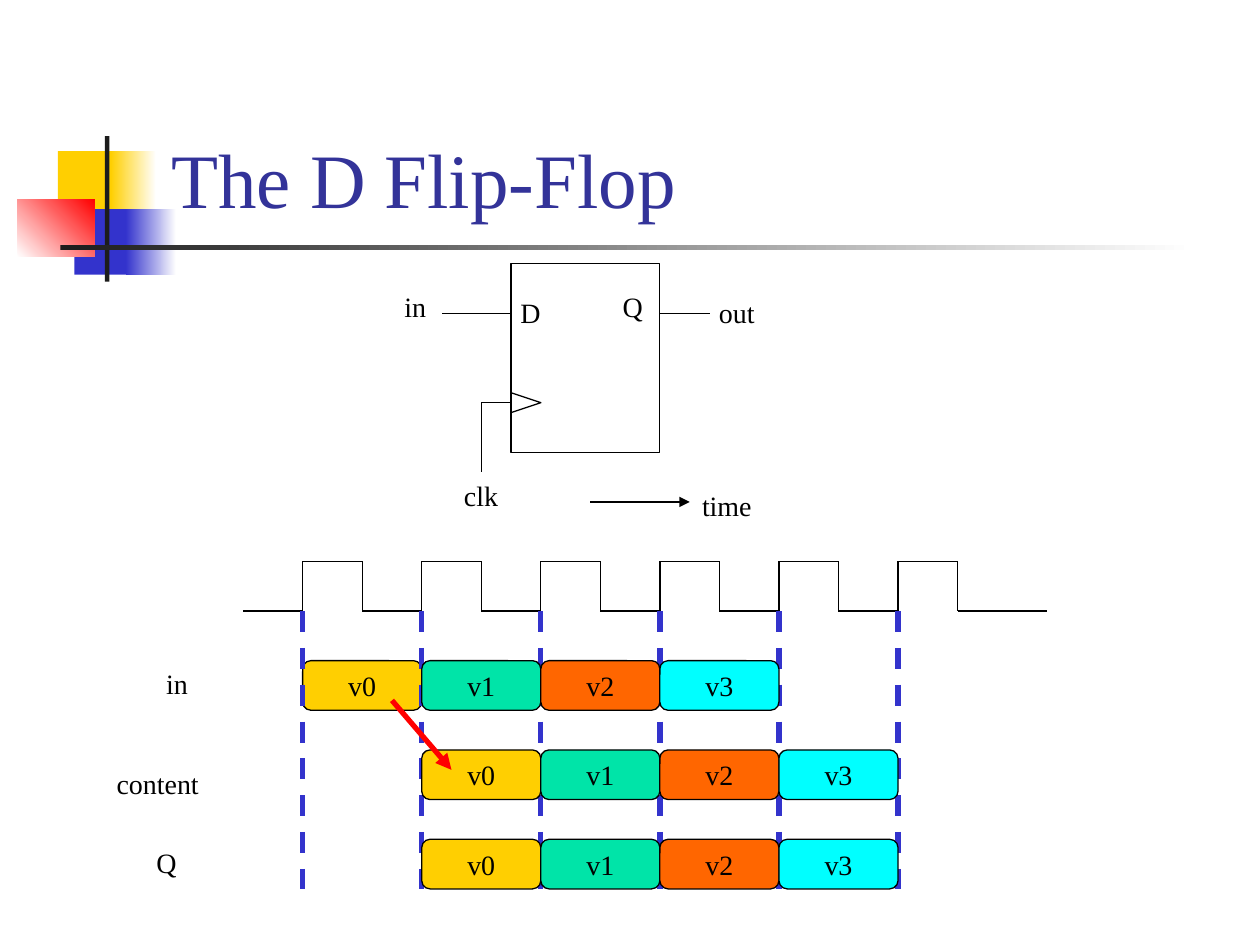
from dataclasses import dataclass
from itertools import pairwise
from typing import Any

from pptx import Presentation, util as u
from pptx.dml.color import RGBColor
from pptx.enum import dml, shapes, text
from pptx.oxml.ns import qn
from lxml import etree

BLACK = RGBColor(0x00, 0x00, 0x00)
WHITE = RGBColor(0xFF, 0xFF, 0xFF)
COAL = RGBColor(0x1C, 0x1C, 0x1C)
GOLD = RGBColor(0xFF, 0xCF, 0x01)
GREEN = RGBColor(0x00, 0xE4, 0xA8)
ORANGE = RGBColor(0xFF, 0x66, 0x00)
CYAN = RGBColor(0x00, 0xFF, 0xFF)
RED = RGBColor(0xFF, 0x00, 0x00)
BLUE = RGBColor(0x33, 0x33, 0xCC)
NAVY = RGBColor(0x33, 0x33, 0x99)

WIDE, HIGH = u.Inches(10), u.Inches(7.5)
KIND = shapes.MSO_SHAPE
PERIOD, TICKS = 12, 6
UNIT = u.Inches(0.945) / PERIOD  # one grid step
CHIP = 5  # height of a value box and of a clock pulse


@dataclass
class Sheet:
    """Draws on a grid whose origin is the start of the clock's low level."""
    slide: Any
    font: str = "Times New Roman"
    size: int = 16
    thin: float = 0.75
    thick: float = 3

    def spot(self, col, row):
        return round(u.Inches(1.93) + col * UNIT), round(u.Inches(4.85) + row * UNIT)

    def cell(self, col, row, cols, rows):
        return *self.spot(col, row), round(cols * UNIT), round(rows * UNIT)

    def share(self, x, y, w, h):
        """Turn percentages of the slide's size into a frame."""
        return tuple(round(side * part / 100)
                     for side, part in zip((WIDE, HIGH) * 2, (x, y, w, h)))

    def fill_in(self, frame, words, wrap=False, size=None, color=BLACK):
        """Put styled words into a text frame."""
        frame.word_wrap = wrap
        para = frame.paragraphs[0]
        run = para.add_run()
        run.text = words
        look = {"name": self.font, "size": u.Pt(size or self.size)}
        for key, value in look.items():
            setattr(run.font, key, value)
        run.font.color.rgb = color
        return para

    def label(self, col, row, words, cols, rows=4.7):
        box = self.slide.shapes.add_textbox(*self.cell(col, row, cols, rows))
        self.fill_in(box.text_frame, words)

    def title(self, words, *part):
        box = self.slide.shapes.add_textbox(*self.share(*part))
        box.text_frame.vertical_anchor = text.MSO_ANCHOR.BOTTOM
        self.fill_in(box.text_frame, words, wrap=True, size=44, color=NAVY)

    def shape(self, kind, frame, fill=None):
        item = self.slide.shapes.add_shape(kind, *frame)
        item.shadow.inherit = False
        if fill is None:
            item.fill.background()
        else:
            item.fill.solid()
            item.fill.fore_color.rgb = fill
        item.line.color.rgb = BLACK
        item.line.width = u.Pt(self.thin)
        return item

    def block(self, part, start, end=None, angle=0):
        """Add a borderless bar, plain or fading from start to end."""
        item = self.shape(KIND.RECTANGLE, self.share(*part), start)
        item.line.fill.background()
        if end is not None:
            item.fill.gradient()
            item.fill.gradient_angle = angle
            for stop, color in zip(item.fill.gradient_stops, (start, end)):
                stop.color.rgb = color

    def chip(self, col, row, words, fill):
        item = self.shape(KIND.ROUNDED_RECTANGLE, self.cell(col, row, PERIOD, CHIP), fill)
        item.text_frame.vertical_anchor = text.MSO_ANCHOR.MIDDLE
        para = self.fill_in(item.text_frame, words)
        para.alignment = text.PP_ALIGN.CENTER

    def line(self, *spots, color=BLACK, width=None, dash=None, head=False):
        """Join the given grid points with straight lines."""
        for start, end in pairwise(spots):
            item = self.slide.shapes.add_connector(
                shapes.MSO_CONNECTOR.STRAIGHT, *self.spot(*start), *self.spot(*end))
            item.line.color.rgb = color
            item.line.width = u.Pt(width or self.thin)
            if dash:
                item.line.dash_style = dash
            props = item._element.spPr
            if head:
                etree.SubElement(props.find(qn("a:ln")), qn("a:tailEnd"), type="triangle")
            etree.SubElement(props, qn("a:effectLst"))


def header(sheet):
    sheet.block((4.6, 16, 4.8, 6.93), GOLD)
    sheet.block((8.8, 16, 3.6, 6.93), GOLD, WHITE)
    sheet.block((5.9, 22.13, 4.6, 6.93), BLUE)
    sheet.block((10, 22.13, 4, 6.93), BLUE, WHITE)
    sheet.block((1.4, 21.07, 6.1, 6.13), WHITE, RED, angle=45)
    sheet.block((8.33, 14.4, 0.35, 15.4), COAL)
    sheet.block((4.8, 25.93, 90, 0.5), COAL, WHITE)
    sheet.title("The D Flip-Flop", 12.6, 3.07, 85.2, 21.33)


def timing(sheet):
    edges = [6 + PERIOD * tick for tick in range(TICKS)]
    wave = [(0, 0)]
    for edge in edges:
        fall = edge + PERIOD / 2
        wave += [(edge, 0), (edge, -CHIP), (fall, -CHIP), (fall, 0)]
    sheet.line(*wave, (81, 0))

    colors = (GOLD, GREEN, ORANGE, CYAN)
    rows = ((0, 5), (1, 14), (1, 23))  # first clock tick and grid row
    chips = [(edges[first + n], row, f"v{n}", color)
             for first, row in rows for n, color in enumerate(colors)]
    sheet.chip(*chips[0])
    for edge in edges:
        sheet.line((edge, 0), (edge, 28), color=BLUE, width=sheet.thick,
                   dash=dml.MSO_LINE.DASH)
    for chip in chips[1:]:
        sheet.chip(*chip)

    for col, row, words, cols in ((-9, 5, "in", 4.8), (-14, 15, "content", 10.9),
                                  (-10, 23, "Q", 4.6), (45, -13, "time", 7.6)):
        sheet.label(col, row, words, cols)
    sheet.line((35, -11), (45, -11), head=True)


def circuit(sheet):
    sheet.shape(KIND.RECTANGLE, sheet.cell(27, -35, 15, 19))
    notch = sheet.shape(KIND.ISOSCELES_TRIANGLE, sheet.cell(27.5, -22.5, 2, 3))
    notch.rotation = 90
    sheet.line((42, -30), (47, -30))
    sheet.line((27, -30), (20, -30))
    sheet.line((27, -21), (24, -21), (24, -14))
    for col, row, words, cols in ((26.7, -32.4, "D", 4.6), (37, -33, "Q", 4.6),
                                  (15, -33, "in", 4.8), (46.7, -32.4, "out", 6.2),
                                  (21, -14, "clk", 6)):
        sheet.label(col, row, words, cols)


def main():
    deck = Presentation()
    deck.slide_width, deck.slide_height = WIDE, HIGH
    sheet = Sheet(deck.slides.add_slide(deck.slide_layouts[6]))
    header(sheet)
    timing(sheet)
    circuit(sheet)
    sheet.line((15, 9), (21, 16), color=RED, width=sheet.thick, head=True)
    deck.save("out.pptx")


if __name__ == "__main__":
    main()
